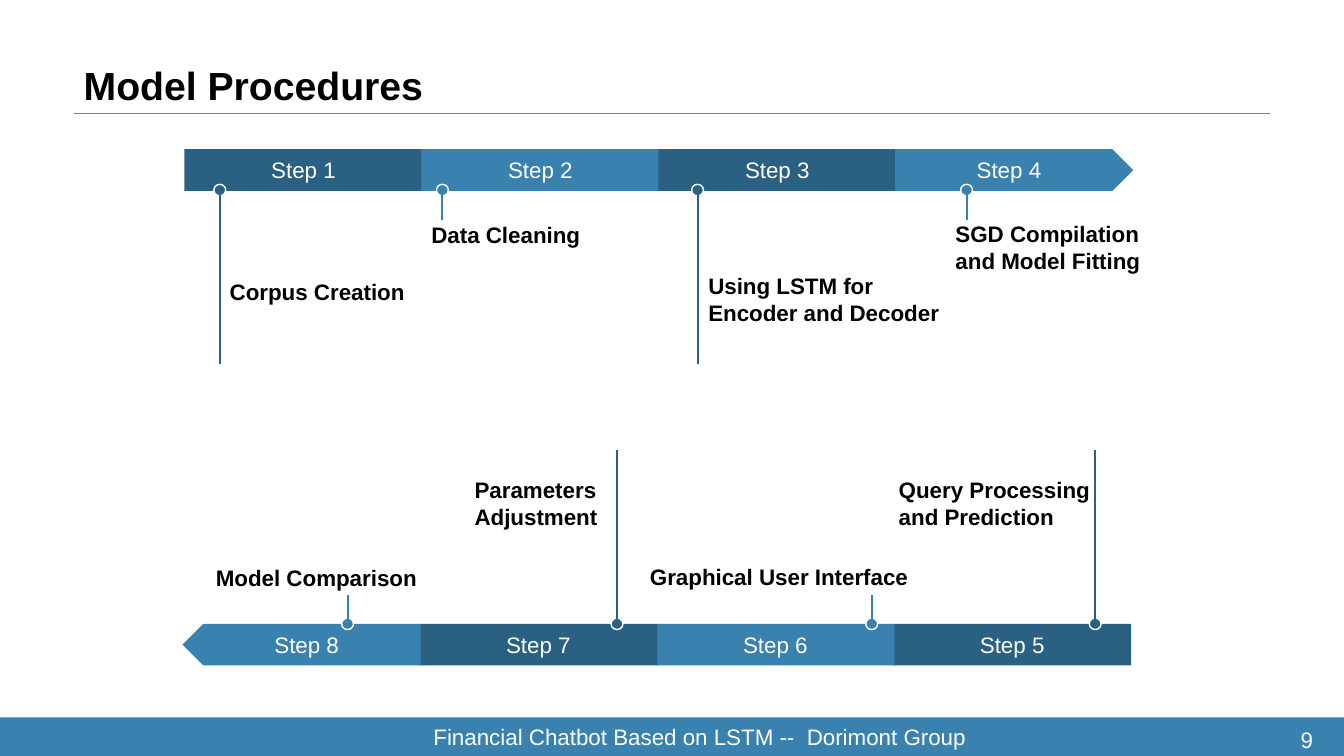
from dataclasses import dataclass

import pptx
import pptx.dml.color
import pptx.enum.shapes
import pptx.enum.text
import pptx.oxml.ns
import pptx.shapes.autoshape
import pptx.slide
import pptx.text.text
import pptx.util
from lxml import etree

Cm = pptx.util.Cm
Pt = pptx.util.Pt
RGBColor = pptx.dml.color.RGBColor
Preset = pptx.enum.shapes.MSO_SHAPE
Align = pptx.enum.text.PP_ALIGN
Anchor = pptx.enum.text.MSO_ANCHOR
qn = pptx.oxml.ns.qn

DARK_BLUE = RGBColor(0x2A, 0x61, 0x83)
LIGHT_BLUE = RGBColor(0x39, 0x82, 0xAF)
GRAY = RGBColor(0x80, 0x80, 0x80)
BLACK = RGBColor(0, 0, 0)
WHITE = RGBColor(0xFF, 0xFF, 0xFF)

FONT = "Arial"
SLIDE_WIDTH, SLIDE_HEIGHT = 33.87, 19.05
BAR_PITCH, BAR_WIDTH, BAR_HEIGHT = 5.97, 6, 1.05
DOT_WIDTH, DOT_HEIGHT = 0.3, 0.29
FOOTER_TOP = 18.08


@dataclass(frozen=True)
class Box:
    """A rectangle in centimetres."""
    left: float
    top: float
    width: float
    height: float

    def lengths(self) -> tuple[Cm, Cm, Cm, Cm]:
        return Cm(self.left), Cm(self.top), Cm(self.width), Cm(self.height)


@dataclass(frozen=True)
class Row:
    """A band of four steps; stems run from the dots to one of two ends."""
    left: float
    top: float
    dot_y: float
    long_stem_end: float
    short_stem_end: float
    reversed: bool


@dataclass(frozen=True)
class Step:
    number: int
    row: Row
    stem_x: float
    label: str
    label_box: Box
    align: Align = Align.LEFT

    @property
    def is_odd(self) -> bool:
        return self.number % 2 == 1

    @property
    def color(self) -> RGBColor:
        return DARK_BLUE if self.is_odd else LIGHT_BLUE

    @property
    def column(self) -> int:
        return 8 - self.number if self.row.reversed else self.number - 1


FORWARD = Row(4.65, 3.76, 4.79, 9.17, 5.54, False)
BACKWARD = Row(4.6, 15.72, 15.72, 11.33, 14.99, True)

STEPS = [
    Step(1, FORWARD, 5.54, "Corpus Creation", Box(5.54, 6.68, 5.2, 1.14)),
    Step(2, FORWARD, 11.15, "Data Cleaning", Box(10.62, 5.23, 5.2, 1.14)),
    Step(3, FORWARD, 17.58, "Using LSTM for Encoder and Decoder",
         Box(17.6, 6.68, 6.78, 1.65)),
    Step(4, FORWARD, 24.36, "SGD Compilation and Model Fitting",
         Box(23.83, 5.23, 5.99, 1.8)),
    Step(5, BACKWARD, 27.6, "Query Processing and Prediction",
         Box(22.4, 11.68, 6.15, 1.8)),
    Step(6, BACKWARD, 21.97, "Graphical User Interface",
         Box(16.13, 13.64, 7.04, 1.35)),
    Step(7, BACKWARD, 15.55, "Parameters Adjustment",
         Box(11.71, 12.12, 3.99, 1.35)),
    Step(8, BACKWARD, 8.76, "Model Comparison",
         Box(4.65, 13.87, 6.65, 1.14), Align.CENTER),
]


def write_text(frame: pptx.text.text.TextFrame, text: str, color: RGBColor,
               size: float = 16, bold: bool = False, align: Align = Align.LEFT,
               anchor: Anchor = Anchor.TOP) -> None:
    frame.word_wrap = True
    frame.vertical_anchor = anchor
    paragraph = frame.paragraphs[0]
    paragraph.alignment = align
    run = paragraph.add_run()
    run.text = text
    run.font.name = FONT
    run.font.size = Pt(size)
    run.font.bold = bold
    run.font.color.rgb = color


def add_text(slide: pptx.slide.Slide, box: Box, text: str, color: RGBColor,
             **style) -> None:
    write_text(slide.shapes.add_textbox(*box.lengths()).text_frame, text, color, **style)


def add_filled(slide: pptx.slide.Slide, preset: Preset, box: Box,
               color: RGBColor) -> pptx.shapes.autoshape.Shape:
    shape = slide.shapes.add_shape(preset, *box.lengths())
    shape.shadow.inherit = False
    shape.fill.solid()
    shape.fill.fore_color.rgb = color
    shape.line.fill.background()
    return shape


def add_line(slide: pptx.slide.Slide, start: tuple[float, float],
             end: tuple[float, float], color: RGBColor, width: float) -> None:
    line = slide.shapes.add_connector(
        pptx.enum.shapes.MSO_CONNECTOR.STRAIGHT,
        Cm(start[0]), Cm(start[1]), Cm(end[0]), Cm(end[1]))
    line.line.color.rgb = color
    line.line.width = Pt(width)
    etree.SubElement(line.element.spPr, qn("a:effectLst"))


def add_bar(slide: pptx.slide.Slide, step: Step) -> None:
    row = step.row
    is_arrow = step.number in (4, 8)
    box = Box(row.left + step.column * BAR_PITCH, row.top, BAR_WIDTH, BAR_HEIGHT)
    bar = add_filled(slide, Preset.PENTAGON if is_arrow else Preset.RECTANGLE,
                     box, step.color)
    if is_arrow and row.reversed:
        bar.element.spPr.find(qn("a:xfrm")).set("flipH", "1")
    write_text(bar.text_frame, f"Step {step.number}", WHITE,
               align=Align.CENTER, anchor=Anchor.MIDDLE)


def add_callout(slide: pptx.slide.Slide, step: Step) -> None:
    """Draw a step's dot, stem and label."""
    row = step.row
    dot = add_filled(slide, Preset.OVAL,
                     Box(step.stem_x - DOT_WIDTH / 2, row.dot_y - DOT_HEIGHT / 2,
                         DOT_WIDTH, DOT_HEIGHT), step.color)
    dot.line.color.rgb = WHITE
    dot.line.width = Pt(1)
    stem_end = row.long_stem_end if step.is_odd else row.short_stem_end
    add_line(slide, (step.stem_x, stem_end), (step.stem_x, row.dot_y), step.color, 1.5)
    add_text(slide, step.label_box, step.label, BLACK, bold=True,
             align=step.align, anchor=Anchor.BOTTOM)


def main() -> None:
    presentation = pptx.Presentation()
    presentation.slide_width = Cm(SLIDE_WIDTH)
    presentation.slide_height = Cm(SLIDE_HEIGHT)
    slide = presentation.slides.add_slide(presentation.slide_layouts[6])

    add_line(slide, (1.86, 2.85), (32, 2.85), GRAY, 0.25)
    add_text(slide, Box(1.86, 0, 30.14, 2.85), "Model Procedures", BLACK,
             size=28, bold=True, anchor=Anchor.BOTTOM)

    for step in STEPS:
        add_bar(slide, step)
    for step in STEPS:
        add_callout(slide, step)

    add_filled(slide, Preset.RECTANGLE,
               Box(0, FOOTER_TOP, SLIDE_WIDTH, SLIDE_HEIGHT - FOOTER_TOP), LIGHT_BLUE)
    add_text(slide, Box(8.86, 18.11, 17.55, 0.94),
             "Financial Chatbot Based on LSTM --  Dorimont Group", WHITE,
             align=Align.CENTER)
    add_text(slide, Box(32.53, 18.18, 1.34, 0.87), "9", WHITE)

    presentation.save("out.pptx")


if __name__ == "__main__":
    main()
